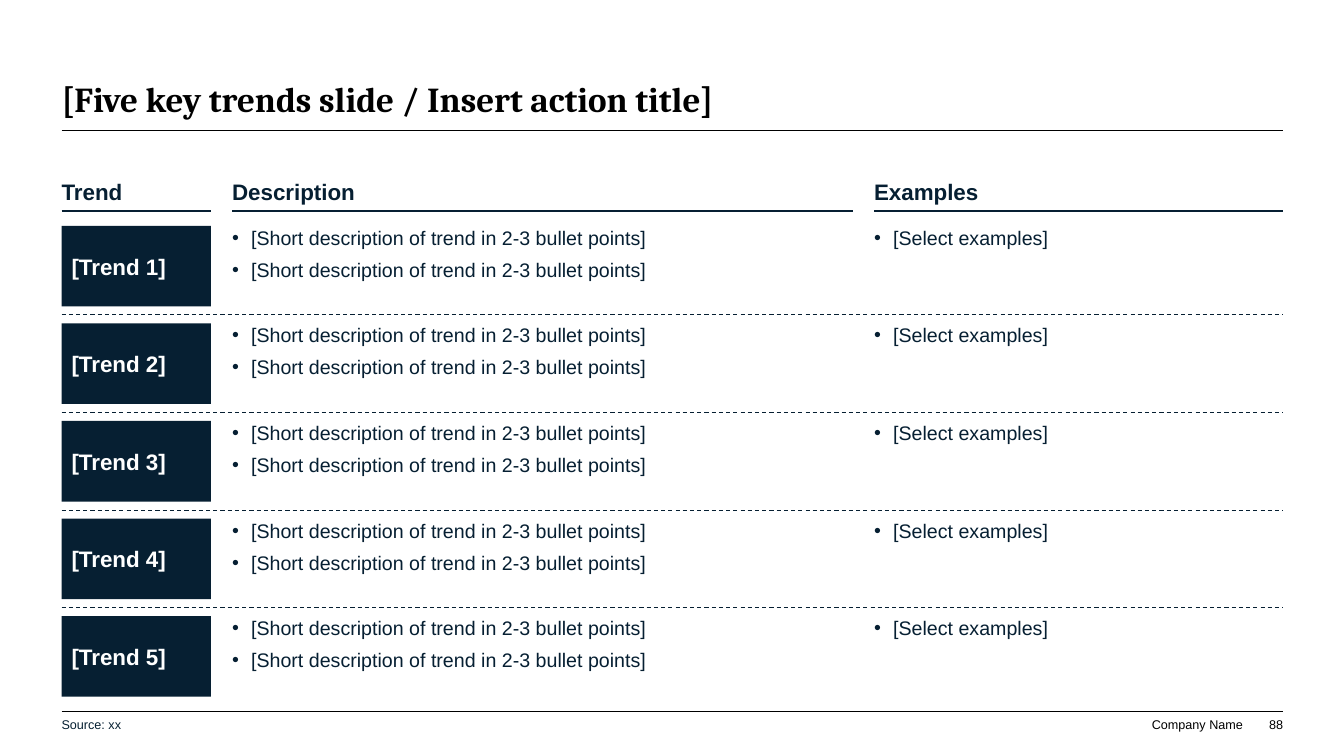
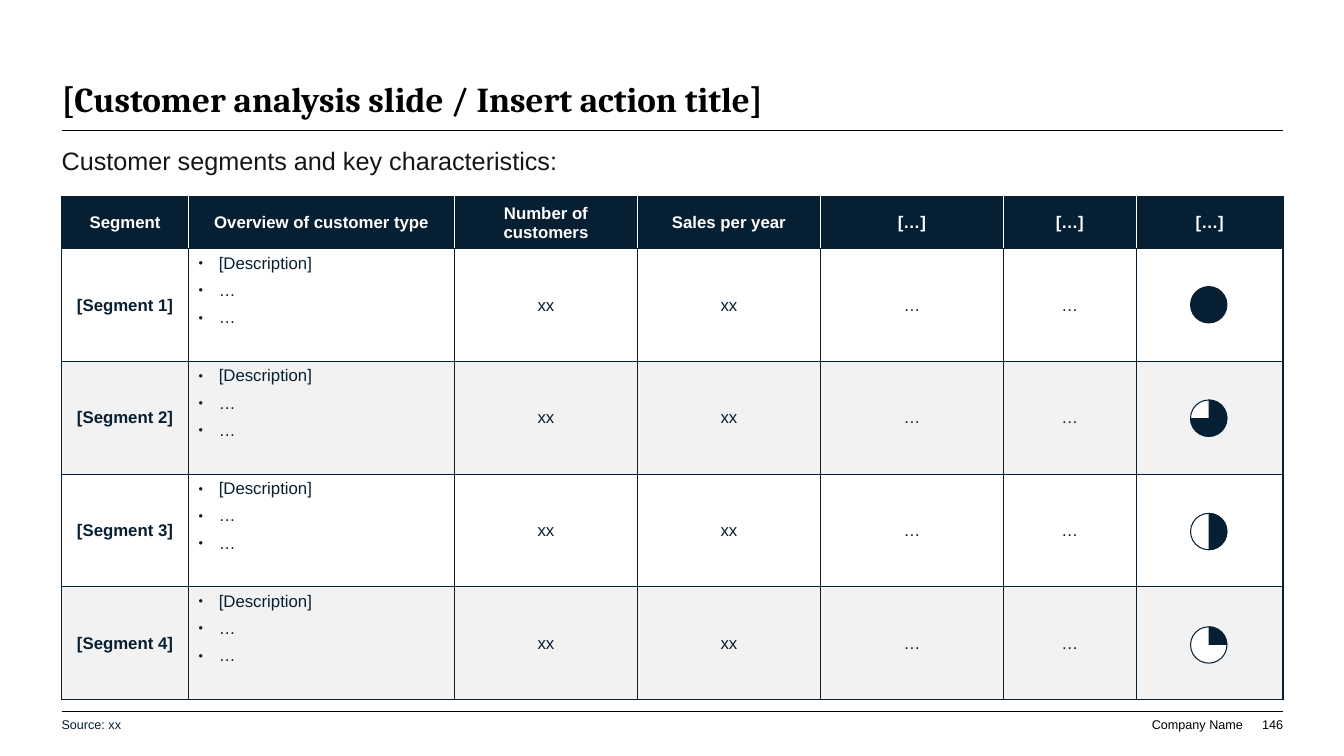
from lxml import etree
from pptx import Presentation
from pptx.dml.color import RGBColor as RGB
from pptx.enum.dml import MSO_LINE as Dash
from pptx.enum.shapes import MSO_CONNECTOR as Conn, MSO_SHAPE as Kind
from pptx.enum.text import MSO_ANCHOR as Anchor, MSO_AUTO_SIZE as Auto, PP_ALIGN as Align
from pptx.oxml.ns import qn
from pptx.util import Pt

# Content
TRENDS = {
    "title": "[Five key trends slide / Insert action title]",
    "page": "88",
    "heads": ["Trend", "Description", "Examples"],
    "rows": [(f"[Trend {n}]",
              ["[Short description of trend in 2-3 bullet points]"] * 2,
              ["[Select examples]"]) for n in range(1, 6)],
}
CLIENTS = {
    "title": "[Customer analysis slide / Insert action title]",
    "page": "146",
    "lead": "Customer segments and key characteristics:",
    "heads": ["Segment", "Overview of customer type", "Number of customers",
              "Sales per year", "[…]", "[…]", "[…]"],
    "rows": [[f"[Segment {n}]", ["[Description]", "…", "…"],
              "xx", "xx", "…", "…", ""] for n in range(1, 5)],
    "scores": [4, 3, 2, 1],  # filled quarters
}
SOURCE, FIRM = "Source: xx", "Company Name"

# Shared look
HUES = {"navy": "061F32", "black": "000000", "white": "FFFFFF",
        "grey": "F2F2F2", "ink": "171616", "note": "062032"}
LEFT, WIDE = 44, 872.6
RIGHT = LEFT + WIDE
FONTS = {
    "title": {"name": "Cambria", "size": Pt(25), "bold": True},
    "lead": {"name": "Arial", "size": Pt(18), "bold": False},
    "head": {"name": "Arial", "size": Pt(16), "bold": True},
    "body": {"name": "Arial", "size": Pt(14), "bold": False},
    "cell": {"name": "Arial", "size": Pt(12), "bold": False},
    "label": {"name": "Arial", "size": Pt(12), "bold": True},
    "foot": {"name": "Arial", "size": Pt(9), "bold": False},
}


def hue(name):
    return RGB.from_string(HUES[name])


def box_pts(*vals):
    return [Pt(v) for v in vals]


def sub(top, tag, **attrs):
    return etree.SubElement(top, qn(tag), attrs)


def write(frame, text, style, color="navy", align=Align.LEFT, indent=0, size=100):
    """Fill a frame; a list of text becomes bullets."""
    items = text if isinstance(text, list) else [text]
    for i, item in enumerate(items):
        para = frame.paragraphs[0] if i == 0 else frame.add_paragraph()
        para.alignment = align
        if i:
            para.space_before = Pt(6)
        if indent:
            props = para._p.get_or_add_pPr()
            props.set("marL", str(Pt(indent)))
            props.set("indent", str(-Pt(indent)))
            sub(props, "a:buSzPct", val=str(size * 1000))
            sub(props, "a:buFont", typeface="Arial")
            sub(props, "a:buChar", char="•")
        run = para.add_run()
        run.text = item
        for key, val in FONTS[style].items():
            setattr(run.font, key, val)
        run.font.color.rgb = hue(color)


def set_frame(frame, anchor):
    look = {"word_wrap": True, "auto_size": Auto.NONE, "vertical_anchor": anchor,
            "margin_left": 0, "margin_right": 0, "margin_top": 0, "margin_bottom": 0}
    for key, val in look.items():
        setattr(frame, key, val)


def add_text(slide, place, text, style, anchor=Anchor.TOP, **look):
    frame = slide.shapes.add_textbox(*box_pts(*place)).text_frame
    set_frame(frame, anchor)
    write(frame, text, style, **look)


def add_rule(slide, x, y, width, weight, color="navy", dash=None):
    rule = slide.shapes.add_connector(Conn.STRAIGHT, *box_pts(x, y, x + width, y))
    rule.line.color.rgb = hue(color)
    rule.line.width = Pt(weight)
    if dash:
        rule.line.dash_style = dash
    sub(rule._element.spPr, "a:effectLst")


def add_form(slide, kind, place, fill, line=None):
    form = slide.shapes.add_shape(kind, *box_pts(*place))
    form.shadow.inherit = False
    form.fill.solid()
    form.fill.fore_color.rgb = hue(fill)
    if line:
        form.line.color.rgb = hue(line)
        form.line.width = Pt(0.75)
    else:
        form.line.fill.background()
    return form


def add_page(deck, data):
    """Title, rules and footer that every slide carries."""
    slide = deck.slides.add_slide(deck.slide_layouts[5])
    title = slide.shapes.title
    title.left, title.top, title.width, title.height = box_pts(LEFT, 28.1, WIDE, 57.6)
    set_frame(title.text_frame, Anchor.BOTTOM)
    write(title.text_frame, data["title"], "title", "black")
    for y in (92.9, 508.3):
        add_rule(slide, LEFT, y, WIDE, 0.5, "black")
    add_text(slide, (LEFT, 503.3, 560, 28.8), SOURCE, "foot", Anchor.MIDDLE, color="note")
    for text, end, width in ((FIRM, 887.8, 80), (data["page"], RIGHT, 26)):
        add_text(slide, (end - width, 511.9, width, 10.8), text, "foot", Anchor.BOTTOM,
                 color="black", align=Align.RIGHT)
    return slide


def add_trends(deck, data):
    slide = add_page(deck, data)
    widths, gap = [106.6, 443.4, 292.2], 15.2
    cols = [(LEFT + sum(widths[:i]) + gap * i, w) for i, w in enumerate(widths)]
    top, step, high = 161.3, 69.7, 57.6

    # Column heads
    for (x, width), head in zip(cols, data["heads"]):
        add_text(slide, (x, 127.4, width, 19.4), head, "head", Anchor.BOTTOM)
        add_rule(slide, x, 150.6, width, 1.25)

    # Trend rows
    for i, (name, *lists) in enumerate(data["rows"]):
        y = top + step * i
        if i:
            add_rule(slide, LEFT, y - (step - high) / 2, WIDE, 0.75, dash=Dash.DASH)
        tile = add_form(slide, Kind.RECTANGLE, (LEFT, y, widths[0], high), "navy")
        tile.text_frame.vertical_anchor = Anchor.MIDDLE
        write(tile.text_frame, name, "head", "white")
        for (x, width), items in zip(cols[1:], lists):
            add_text(slide, (x, y, width, 40), items, "body", indent=13.6)


def set_cell(cell, text, fill, edges, style, color):
    props = cell._tc.get_or_add_tcPr()
    for side, edge in zip("LRTB", edges):
        line = sub(props, f"a:ln{side}", w=str(Pt(1)))
        sub(sub(line, "a:solidFill"), "a:srgbClr", val=HUES[edge])
    cell.fill.solid()
    cell.fill.fore_color.rgb = hue(fill)
    if isinstance(text, list):
        write(cell.text_frame, text, style, color, indent=14.4, size=75)
    else:
        cell.vertical_anchor = Anchor.MIDDLE
        if text:
            write(cell.text_frame, text, style, color, Align.CENTER)


def add_clients(deck, data):
    slide = add_page(deck, data)
    add_text(slide, (LEFT, 103.7, WIDE, 21.6), data["lead"], "lead", color="ink")

    # Segment table
    rows = [data["heads"]] + data["rows"]
    widths = [90.7, 190, 130.7, 130.7, 130.7, 95, 104.8]
    highs = [37.4] + [80.5] * len(data["rows"])
    grid = slide.shapes.add_table(
        len(rows), len(widths), *box_pts(LEFT, 140.4, WIDE, sum(highs))).table
    grid.first_row = grid.horz_banding = False
    for col, width in zip(grid.columns, widths):
        col.width = Pt(width)
    last = len(widths) - 1
    for r, (row, high) in enumerate(zip(rows, highs)):
        grid.rows[r].height = Pt(high)
        for c, text in enumerate(row):
            edges = ["navy"] * 4
            fill, color = ("white" if r % 2 else "grey"), "navy"
            if r == 0:
                fill, color = "navy", "white"
                edges[0] = "white" if c else "navy"
                edges[1] = "white" if c < last else "navy"
            style = "label" if r == 0 or c == 0 else "cell"
            set_cell(grid.cell(r, c), text, fill, edges, style, color)

    # Score dials
    size, step = 26, 81
    for i, score in enumerate(data["scores"]):
        place = (850.4, 204.7 + step * i, size, size)
        full = score == 4
        add_form(slide, Kind.OVAL, place, "navy" if full else "white", "navy")
        if not full:
            arc = add_form(slide, Kind.ARC, place, "navy", "navy")
            for n, angle in enumerate((270, (270 + 90 * score) % 360)):
                arc.adjustments[n] = angle * 0.6  # 60000 units a degree, over 100000


def main():
    deck = Presentation()
    deck.slide_width, deck.slide_height = box_pts(960, 540)
    add_trends(deck, TRENDS)
    add_clients(deck, CLIENTS)
    deck.save("out.pptx")


if __name__ == "__main__":
    main()
